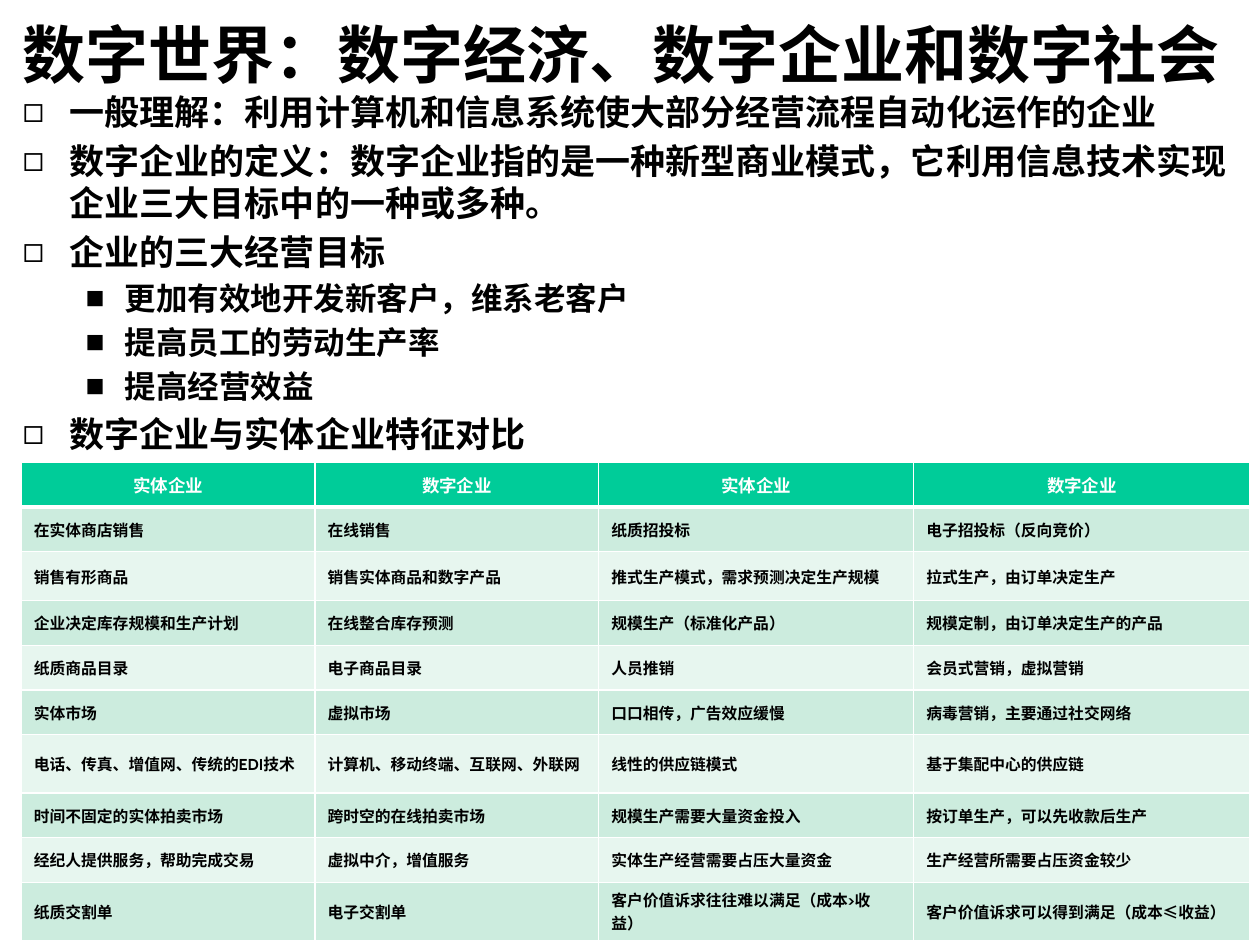
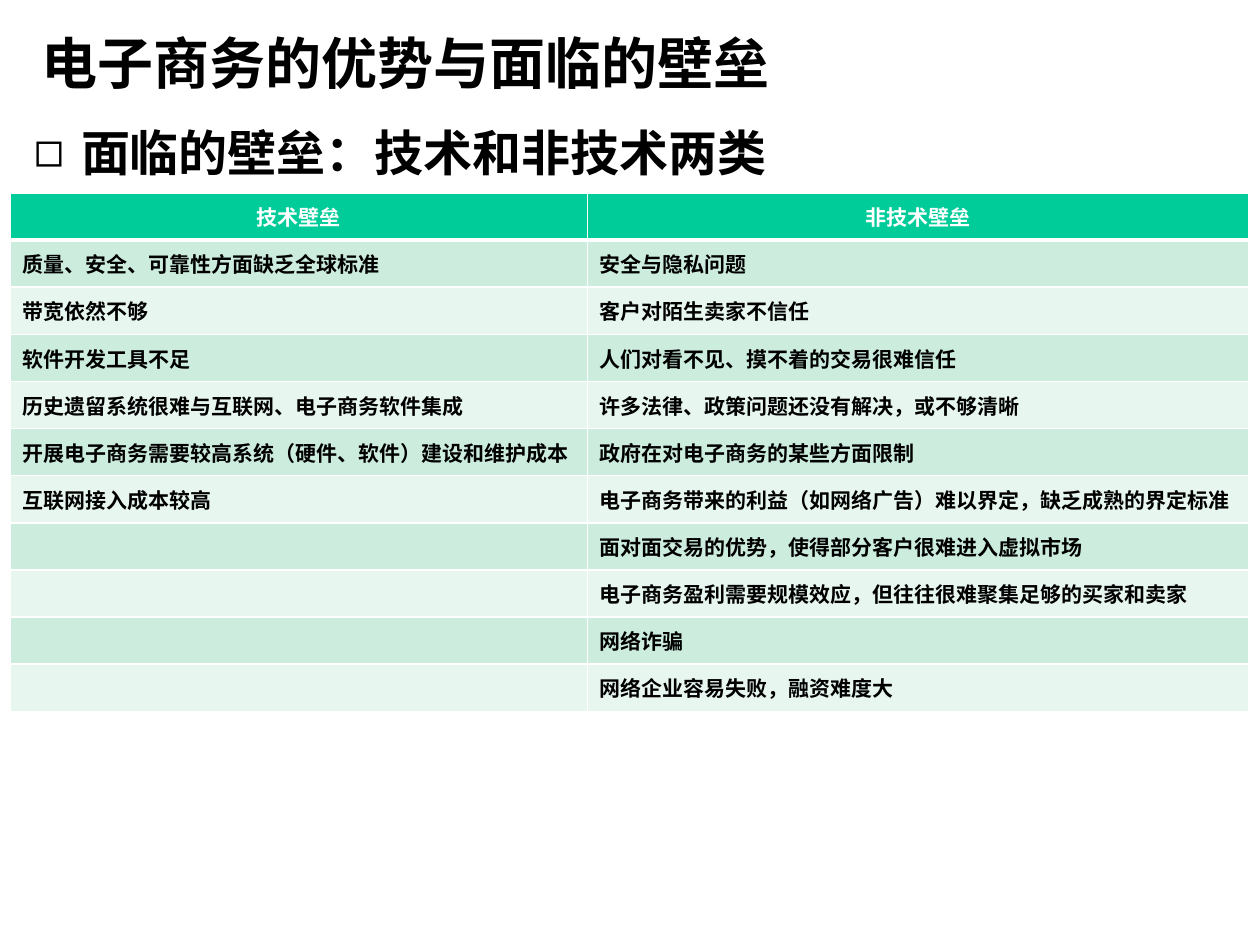
from lxml import etree
from pptx import Presentation
from pptx.dml.color import RGBColor
from pptx.enum.text import MSO_ANCHOR, MSO_AUTO_SIZE, PP_ALIGN
from pptx.oxml.ns import qn
from pptx.util import Cm, Pt

LEFT, CENTER = PP_ALIGN.LEFT, PP_ALIGN.CENTER
MIDDLE, TOP = MSO_ANCHOR.MIDDLE, MSO_ANCHOR.TOP
NO_FIT = MSO_AUTO_SIZE.NONE

BLACK, WHITE = "000000", "FFFFFF"
HEAD, BANDS = "00CC99", ("CCECDE", "E7F6EF")
TEXT_FONT, CELL_FONT, HAN_FONT = "Arial", "Cabin", "Noto Sans CJK SC"
# bullet, text indent and hang in cm for each list level
LEVELS = (("◻", 0.95, 0.95), ("■", 2.06, 0.79))


def color(code):
    return RGBColor.from_string(code)


def add(parent, tag, **attrs):
    return etree.SubElement(parent, qn(tag), attrs)


def edge(cell, spot, side, width):
    """Draw one white border; spot is its place among the four."""
    line = etree.Element(qn("a:ln" + side), w=str(Pt(width)))
    add(add(line, "a:solidFill"), "a:srgbClr", val=WHITE)
    cell._tc.get_or_add_tcPr().insert(spot, line)


class Deck:
    def __init__(self):
        self.prs = Presentation()
        self.prs.slide_width, self.prs.slide_height = Cm(25.4), Cm(19.05)
        self.slide = None

    def new(self):
        self.slide = self.prs.slides.add_slide(self.prs.slide_layouts[1])

    def style(self, para, size, tint=BLACK, latin=TEXT_FONT, han=TEXT_FONT):
        font = para.font
        font.name, font.size, font.bold = latin, Pt(size), True
        font.color.rgb = color(tint)
        base = para._p.pPr.find(qn("a:defRPr"))
        base.find(qn("a:latin")).addnext(
            etree.Element(qn("a:ea"), typeface=han))

    def place(self, shape, box, anchor):
        shape.left, shape.top, shape.width, shape.height = map(Cm, box)
        frame = shape.text_frame
        frame.auto_size, frame.vertical_anchor = NO_FIT, anchor
        return frame

    def title(self, text, size, box):
        frame = self.place(self.slide.shapes.title, box, MIDDLE)
        frame.text = text
        para = frame.paragraphs[0]
        para.alignment = LEFT
        self.style(para, size)

    def body(self, items, sizes, box):
        """Fill the list from (level, text) pairs."""
        frame = self.place(self.slide.placeholders[1], box, TOP)
        frame.text = "\n".join(text for _, text in items)
        for para, (level, _) in zip(frame.paragraphs, items):
            mark, indent, hang = LEVELS[level]
            para.level = level
            props = para._p.get_or_add_pPr()
            props.set("marL", str(Cm(indent)))
            props.set("indent", str(-Cm(hang)))
            add(props, "a:buFont", typeface=TEXT_FONT)
            add(props, "a:buChar", char=mark)
            self.style(para, sizes[level])

    def table(self, rows, spot, widths, heights, sizes):
        """Build a banded table; sizes are for the head and the rows."""
        frame = self.slide.shapes.add_table(
            len(rows), len(widths), *map(Cm, spot),
            Cm(sum(widths)), Cm(sum(heights)))
        grid = frame.table
        for col, width in zip(grid.columns, widths):
            col.width = Cm(width)
        for r, texts in enumerate(rows):
            grid.rows[r].height = Cm(heights[r])
            for c, text in enumerate(texts):
                self.cell(grid.cell(r, c), text, r, sizes[r > 0])

    def cell(self, cell, text, row, size):
        head = row == 0
        cell.vertical_anchor = MIDDLE
        cell.fill.solid()
        cell.fill.fore_color.rgb = color(HEAD if head else BANDS[(row - 1) % 2])
        for spot, side in enumerate("LRTB"):
            thick = (head and side == "B") or (row == 1 and side == "T")
            edge(cell, spot, side, 3 if thick else 1)
        para = cell.text_frame.paragraphs[0]
        para.alignment = CENTER if head else LEFT
        self.style(para, size, WHITE if head else BLACK, CELL_FONT, HAN_FONT)
        for part in filter(None, text.partition("≤")):
            run = para.add_run()
            run.text = part
            if part == "≤":
                run.font.name = HAN_FONT


GOALS = [
    (0, "一般理解：利用计算机和信息系统使大部分经营流程自动化运作的企业"),
    (0, "数字企业的定义：数字企业指的是一种新型商业模式，它利用信息技术实现企业三大目标中的一种或多种。"),
    (0, "企业的三大经营目标"),
    (1, "更加有效地开发新客户，维系老客户"),
    (1, "提高员工的劳动生产率"),
    (1, "提高经营效益"),
    (0, "数字企业与实体企业特征对比"),
]

TRAITS = [
    ("实体企业", "数字企业") * 2,
    ("在实体商店销售", "在线销售", "纸质招投标", "电子招投标（反向竞价）"),
    ("销售有形商品", "销售实体商品和数字产品",
     "推式生产模式，需求预测决定生产规模", "拉式生产，由订单决定生产"),
    ("企业决定库存规模和生产计划", "在线整合库存预测",
     "规模生产（标准化产品）", "规模定制，由订单决定生产的产品"),
    ("纸质商品目录", "电子商品目录", "人员推销", "会员式营销，虚拟营销"),
    ("实体市场", "虚拟市场", "口口相传，广告效应缓慢", "病毒营销，主要通过社交网络"),
    ("电话、传真、增值网、传统的EDI技术", "计算机、移动终端、互联网、外联网",
     "线性的供应链模式", "基于集配中心的供应链"),
    ("时间不固定的实体拍卖市场", "跨时空的在线拍卖市场",
     "规模生产需要大量资金投入", "按订单生产，可以先收款后生产"),
    ("经纪人提供服务，帮助完成交易", "虚拟中介，增值服务",
     "实体生产经营需要占压大量资金", "生产经营所需要占压资金较少"),
    ("纸质交割单", "电子交割单",
     "客户价值诉求往往难以满足（成本>收益）", "客户价值诉求可以得到满足（成本≤收益）"),
]

HURDLES = [
    ("技术壁垒", "非技术壁垒"),
    ("质量、安全、可靠性方面缺乏全球标准", "安全与隐私问题"),
    ("带宽依然不够", "客户对陌生卖家不信任"),
    ("软件开发工具不足", "人们对看不见、摸不着的交易很难信任"),
    ("历史遗留系统很难与互联网、电子商务软件集成", "许多法律、政策问题还没有解决，或不够清晰"),
    ("开展电子商务需要较高系统（硬件、软件）建设和维护成本", "政府在对电子商务的某些方面限制"),
    ("互联网接入成本较高", "电子商务带来的利益（如网络广告）难以界定，缺乏成熟的界定标准"),
    ("", "面对面交易的优势，使得部分客户很难进入虚拟市场"),
    ("", "电子商务盈利需要规模效应，但往往很难聚集足够的买家和卖家"),
    ("", "网络诈骗"),
    ("", "网络企业容易失败，融资难度大"),
]


def main():
    deck = Deck()

    deck.new()
    deck.title("数字世界：数字经济、数字企业和数字社会", 36, (0.2, 0.2, 24.77, 1.73))
    deck.body(GOALS, (20, 18), (0.2, 1.7, 24.97, 7.82))
    tall = (2, 6, 9)
    heights = [0.99 if r in tall else 0.9 for r in range(len(TRAITS))]
    deck.table(TRAITS, (0.43, 9.32), (5.92, 5.72, 6.35, 6.78), heights, (10, 9))

    deck.new()
    deck.title("电子商务的优势与面临的壁垒", 32, (0.58, 0.38, 24.18, 1.73))
    deck.body([(0, "面临的壁垒：技术和非技术两类")], (28,), (0.43, 2.34, 24.41, 14.81))
    deck.table(HURDLES, (0.2, 3.89), (11.64, 13.34), [0.95] * len(HURDLES), (12, 12))

    deck.prs.save("out.pptx")


if __name__ == "__main__":
    main()
